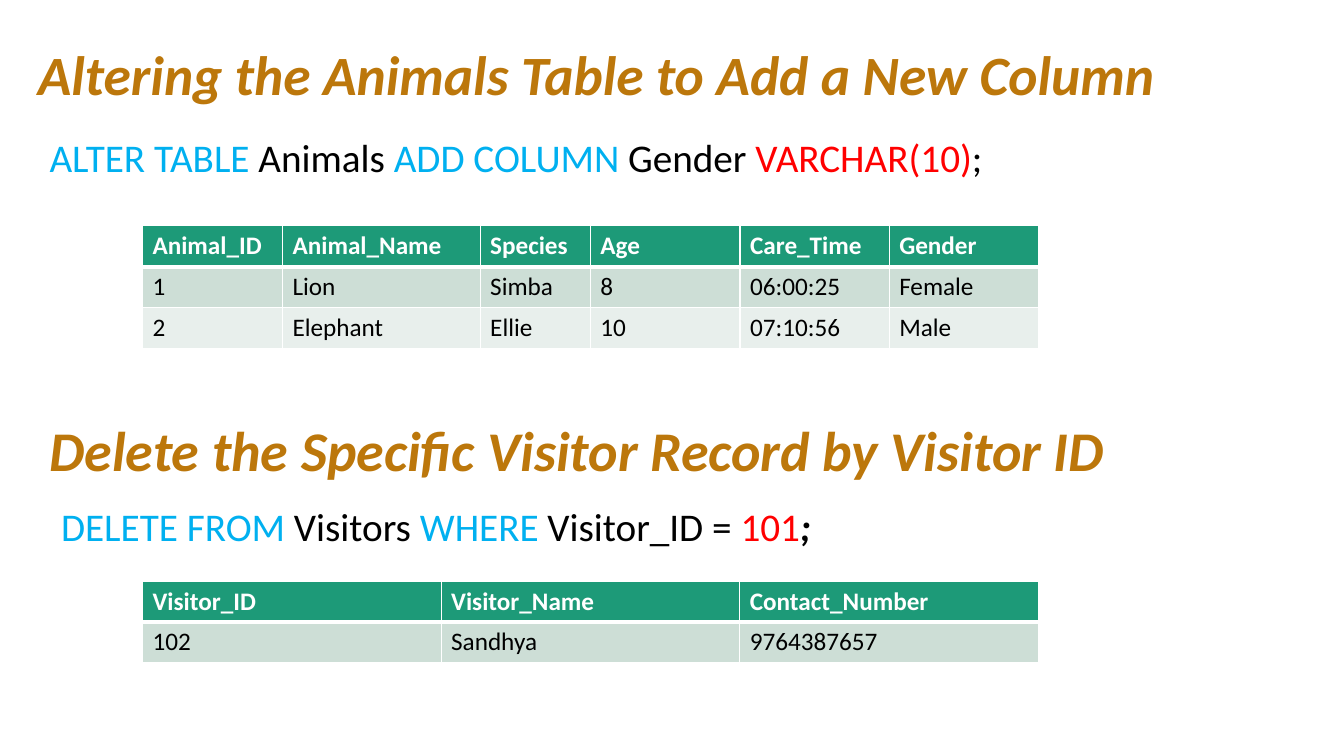
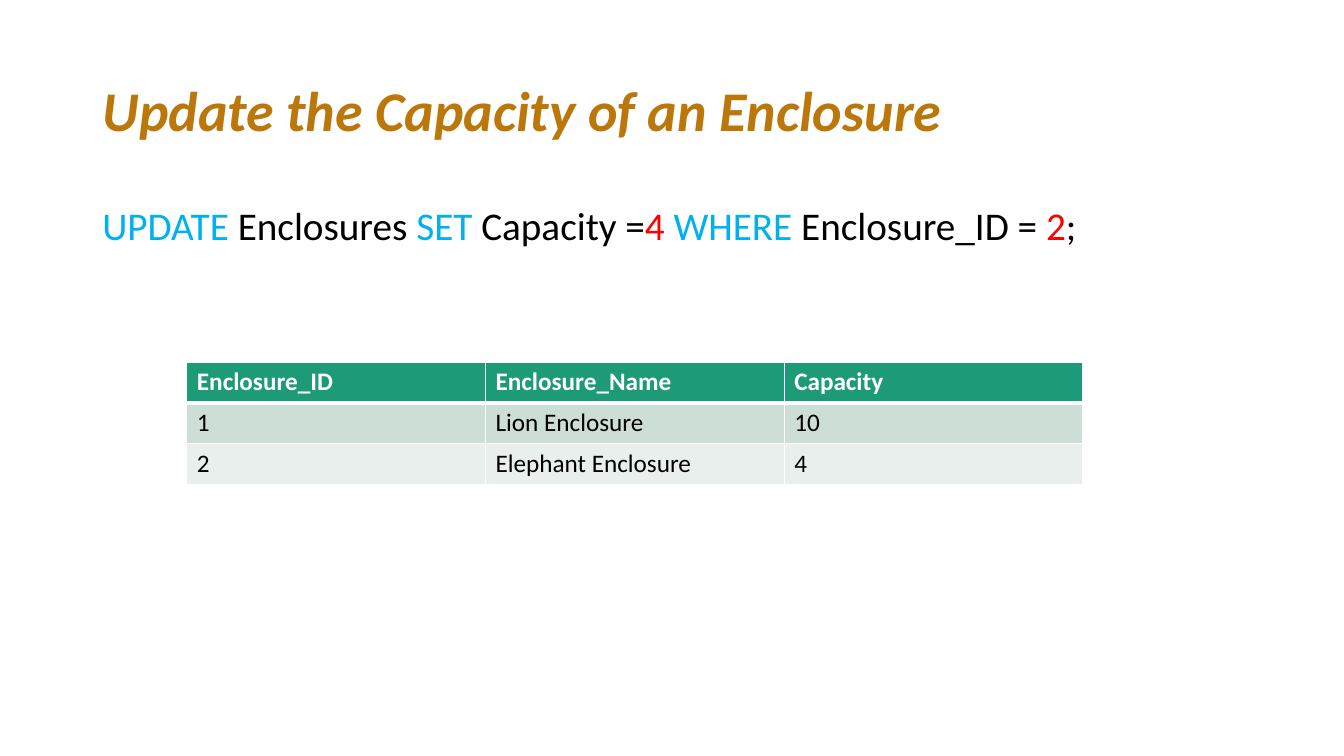
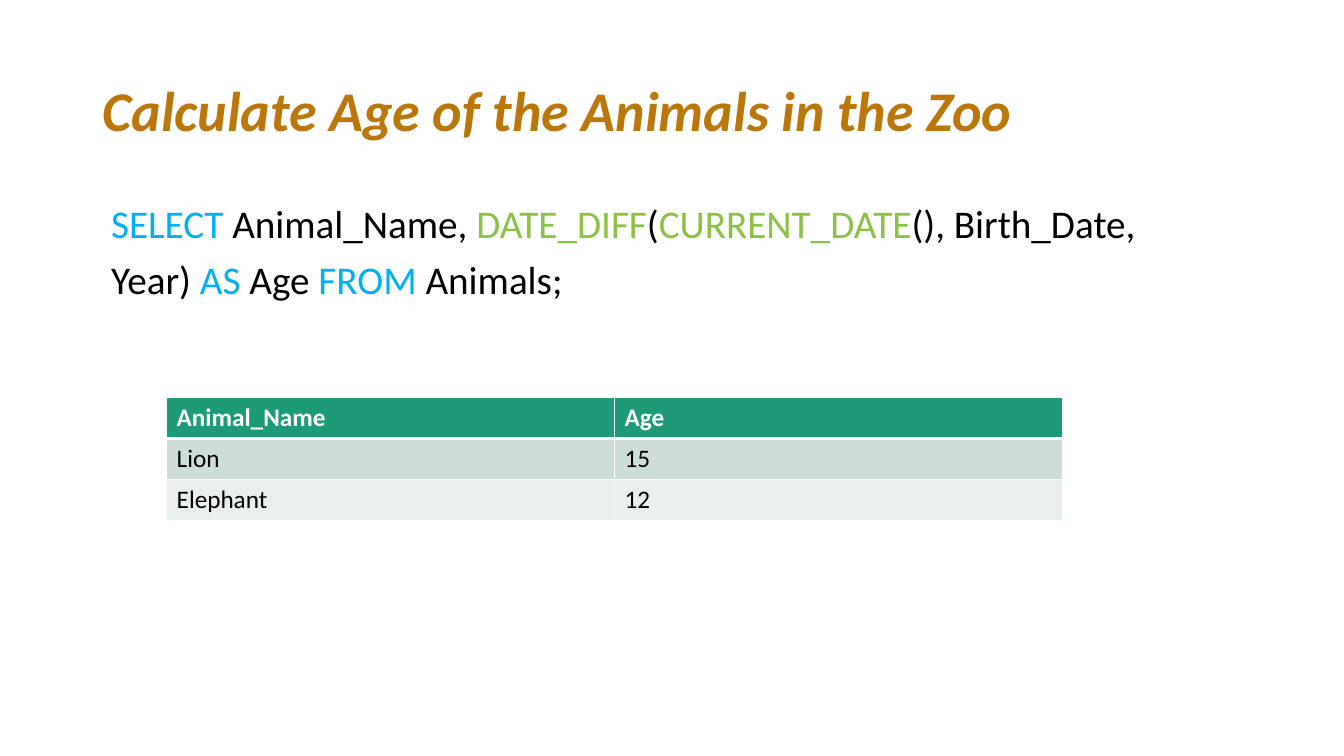
"""Build three slides of SQL statements, each with the table it results in."""
from dataclasses import dataclass

from lxml import etree
from pptx import Presentation
from pptx.dml.color import RGBColor
from pptx.enum.text import MSO_ANCHOR, MSO_AUTO_SIZE, PP_ALIGN
from pptx.oxml.ns import qn
from pptx.slide import Slide
from pptx.util import Cm, Pt

LEFT = PP_ALIGN.LEFT
TOP = MSO_ANCHOR.TOP
MIDDLE = MSO_ANCHOR.MIDDLE
NO_FIT = MSO_AUTO_SIZE.NONE

GOLD = RGBColor(0xBC, 0x77, 0x0B)
BLUE = RGBColor(0x00, 0xB0, 0xF0)
RED = RGBColor(0xFF, 0x00, 0x00)
LIME = RGBColor(0x8B, 0xC1, 0x45)
BLACK = RGBColor(0x00, 0x00, 0x00)
WHITE = RGBColor(0xFF, 0xFF, 0xFF)
GREEN = RGBColor(0x1D, 0x9A, 0x78)
BANDS = (RGBColor(0xCD, 0xDE, 0xD6), RGBColor(0xE8, 0xEF, 0xEC))

FONT = "Calibri"
HEADING = {"name": FONT, "size": Pt(40), "bold": True, "italic": True}
CODE = {"name": FONT, "size": Pt(28), "bold": False, "italic": False}
CODE_END = CODE | {"bold": True, "italic": True}
HEADER = {"name": FONT, "size": Pt(18), "bold": True}
ENTRY = HEADER | {"bold": False}

TABLE_WIDTH = 22.58
ROW_HEIGHT = 1.03


@dataclass(frozen=True)
class Piece:
    text: str
    color: RGBColor = BLACK
    style: dict | None = None


@dataclass(frozen=True)
class Line:
    pieces: tuple[Piece, ...]
    space_before: float = 10
    indent: float = 0


@dataclass(frozen=True)
class Box:
    left: float
    top: float
    width: float
    height: float


@dataclass(frozen=True)
class Result:
    left: float
    top: float
    rows: tuple[tuple[str, ...], ...]
    widths: tuple[float, ...] = ()


@dataclass(frozen=True)
class Topic:
    title: str
    body: Box
    lines: tuple[Line, ...]
    results: tuple[Result, ...]
    title_box: Box = Box(2.33, 1.01, 29.21, 3.68)
    title_size: float = 40
    title_lift: float = 0


TOPICS = (
    Topic(
        "Altering the Animals Table to Add a New Column",
        Box(1, 3.38, 30.55, 14.63),
        (
            Line((
                Piece("ALTER TABLE ", BLUE), Piece("Animals "),
                Piece("ADD COLUMN ", BLUE), Piece("Gender "),
                Piece("VARCHAR(10)", RED), Piece(";"),
            )),
            Line((
                Piece("Delete the Specific Visitor Record by Visitor ID", GOLD, HEADING),
            ), space_before=173),
            Line((
                Piece("DELETE FROM", BLUE), Piece(" Visitors "),
                Piece("WHERE ", BLUE), Piece("Visitor_ID = "),
                Piece("101", RED), Piece(";", BLACK, CODE_END),
            ), space_before=17, indent=0.29),
        ),
        (
            Result(3.59, 5.69, (
                ("Animal_ID", "Animal_Name", "Species", "Age", "Care_Time", "Gender"),
                ("1", "Lion", "Simba", "8", "06:00:25", "Female"),
                ("2", "Elephant", "Ellie", "10", "07:10:56", "Male"),
            ), (3.53, 4.98, 2.78, 3.77, 3.76, 3.76)),
            Result(3.59, 14.64, (
                ("Visitor_ID", "Visitor_Name", "Contact_Number"),
                ("102", "Sandhya", "9764387657"),
            )),
        ),
        title_box=Box(0.7, 0.79, 30.84, 3.88),
        title_size=39.6,
        title_lift=1.53,
    ),
    Topic(
        "Update the Capacity of an Enclosure",
        Box(2.33, 5.07, 29.21, 12.09),
        (
            Line((
                Piece("UPDATE", BLUE), Piece(" Enclosures "),
                Piece("SET", BLUE), Piece(" Capacity ="), Piece("4 ", RED),
                Piece("WHERE ", BLUE), Piece("Enclosure_ID = "),
                Piece("2", RED), Piece(";"),
            )),
        ),
        (
            Result(4.71, 9.12, (
                ("Enclosure_ID", "Enclosure_Name", "Capacity"),
                ("1", "Lion Enclosure", "10"),
                ("2", "Elephant Enclosure", "4"),
            )),
        ),
    ),
    Topic(
        "Calculate Age of the Animals in the Zoo",
        Box(2.33, 5.03, 29.21, 12.09),
        (
            Line((
                Piece("SELECT ", BLUE), Piece("Animal_Name, "),
                Piece("DATE_DIFF", LIME), Piece("("),
                Piece("CURRENT_DATE", LIME), Piece("(), Birth_Date,"),
            ), indent=0.22),
            Line((
                Piece("Year) "), Piece("AS", BLUE), Piece(" Age "),
                Piece("FROM ", BLUE), Piece("Animals;"),
            ), indent=0.22),
        ),
        (
            Result(4.2, 10.02, (
                ("Animal_Name", "Age"),
                ("Lion", "15"),
                ("Elephant", "12"),
            )),
        ),
    ),
)


def apply(target, values: dict) -> None:
    """Set each named attribute on the target."""
    for name, value in values.items():
        setattr(target, name, value)


def placement(box: Box) -> dict:
    """Give the position and size of a box as format values."""
    return {side: Cm(getattr(box, side)) for side in ("left", "top", "width", "height")}


def add_piece(paragraph, piece: Piece, style: dict) -> None:
    """Append one coloured run to a paragraph."""
    run = paragraph.add_run()
    run.text = piece.text
    apply(run.font, piece.style or style)
    run.font.color.rgb = piece.color


def add_title(slide: Slide, topic: Topic) -> None:
    """Move, fill and format the title placeholder."""
    title = slide.shapes.title
    apply(title, placement(topic.title_box))
    frame = title.text_frame
    apply(frame, {
        "word_wrap": True, "auto_size": NO_FIT, "vertical_anchor": MIDDLE,
        "margin_bottom": Cm(0.13 + topic.title_lift),
    })
    paragraph = frame.paragraphs[0]
    apply(paragraph, {"alignment": LEFT, "line_spacing": 0.9})
    add_piece(paragraph, Piece(topic.title, GOLD), HEADING | {"size": Pt(topic.title_size)})


def add_statements(slide: Slide, box: Box, lines: tuple[Line, ...]) -> None:
    """Write the highlighted statements into one text box."""
    frame = slide.shapes.add_textbox(**placement(box)).text_frame
    apply(frame, {"word_wrap": True, "auto_size": NO_FIT, "vertical_anchor": TOP})
    for index, line in enumerate(lines):
        paragraph = frame.add_paragraph() if index else frame.paragraphs[0]
        apply(paragraph, {
            "alignment": LEFT, "line_spacing": 0.9, "space_before": Pt(line.space_before),
        })
        paragraph._p.get_or_add_pPr().set("marL", str(Cm(line.indent)))
        for piece in line.pieces:
            add_piece(paragraph, piece, CODE)


def add_borders(cell, bottom: float) -> None:
    """Draw white borders round a cell, with the given bottom width."""
    properties = cell._tc.get_or_add_tcPr()
    for side, width in (("lnL", 1), ("lnR", 1), ("lnT", 1), ("lnB", bottom)):
        border = etree.SubElement(properties, qn(f"a:{side}"), w=str(Pt(width)))
        fill = etree.SubElement(border, qn("a:solidFill"))
        etree.SubElement(fill, qn("a:srgbClr"), val=str(WHITE))


def add_result(slide: Slide, result: Result) -> None:
    """Draw a table with a green header and banded rows."""
    row_count, column_count = len(result.rows), len(result.rows[0])
    box = Box(result.left, result.top, TABLE_WIDTH, ROW_HEIGHT * row_count)
    table = slide.shapes.add_table(row_count, column_count, **placement(box)).table
    widths = result.widths or (TABLE_WIDTH / column_count,) * column_count
    for column, width in zip(table.columns, widths):
        column.width = Cm(width)
    for row_index, entries in enumerate(result.rows):
        table.rows[row_index].height = Cm(ROW_HEIGHT)
        is_header = row_index == 0
        band = GREEN if is_header else BANDS[(row_index - 1) % 2]
        for column_index, entry in enumerate(entries):
            cell = table.cell(row_index, column_index)
            add_borders(cell, 3 if is_header else 1)
            cell.fill.solid()
            cell.fill.fore_color.rgb = band
            add_piece(
                cell.text_frame.paragraphs[0],
                Piece(entry, WHITE if is_header else BLACK),
                HEADER if is_header else ENTRY,
            )


def main() -> None:
    """Build and save the presentation."""
    deck = Presentation()
    apply(deck, {"slide_width": Cm(33.87), "slide_height": Cm(19.05)})
    title_only = deck.slide_layouts.get_by_name("Title Only")
    for topic in TOPICS:
        slide = deck.slides.add_slide(title_only)
        add_title(slide, topic)
        add_statements(slide, topic.body, topic.lines)
        for result in topic.results:
            add_result(slide, result)
    deck.save("out.pptx")


if __name__ == "__main__":
    main()
